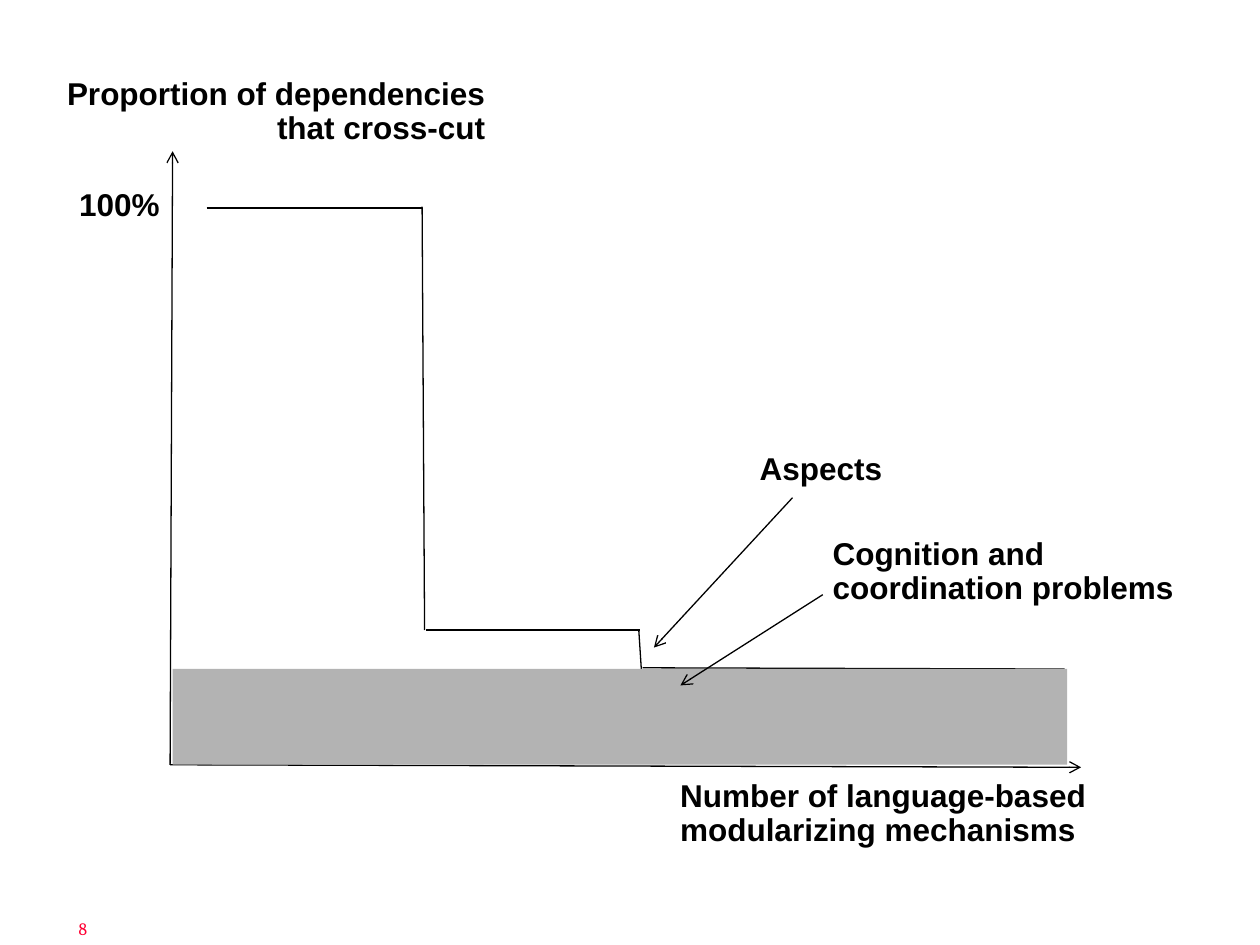
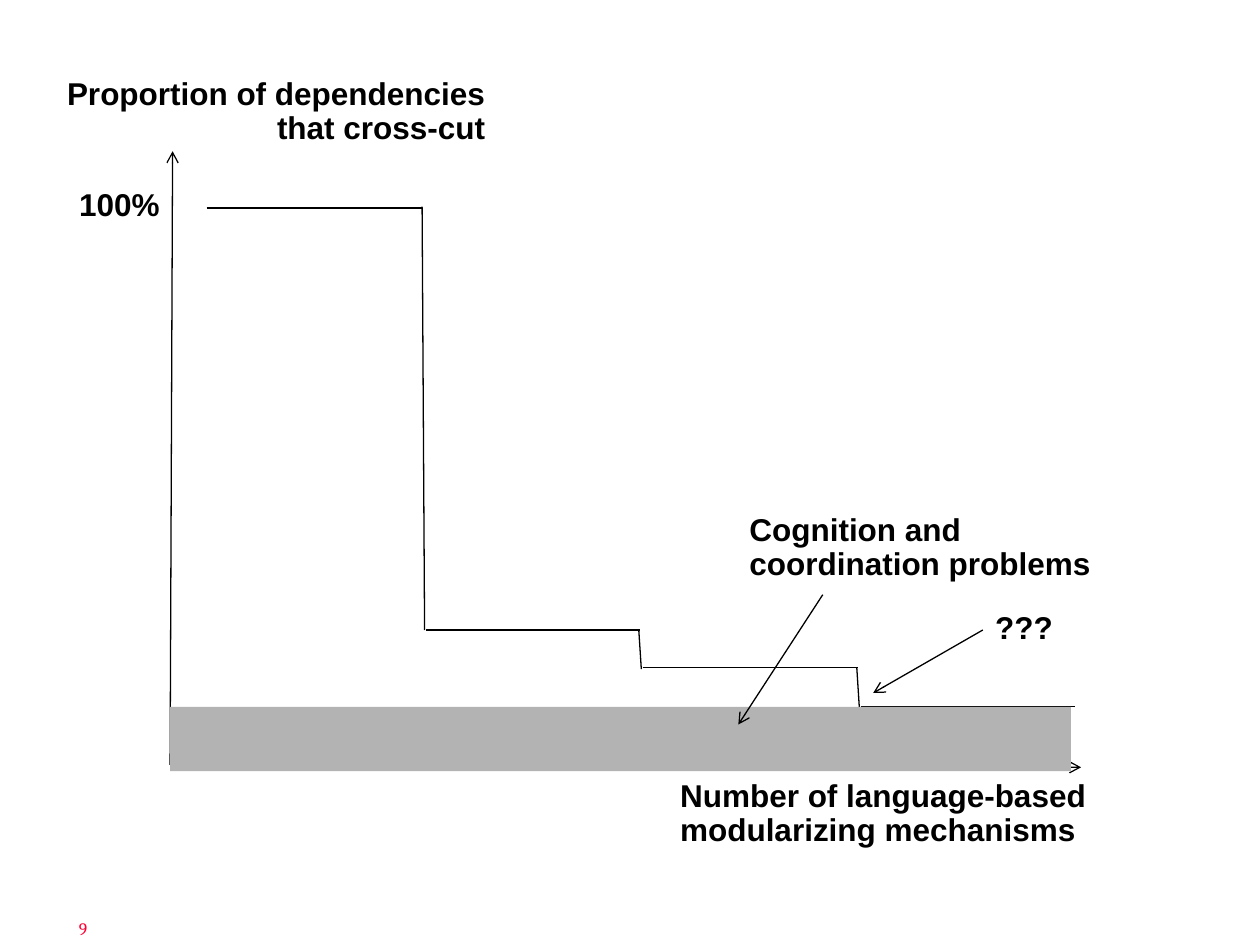
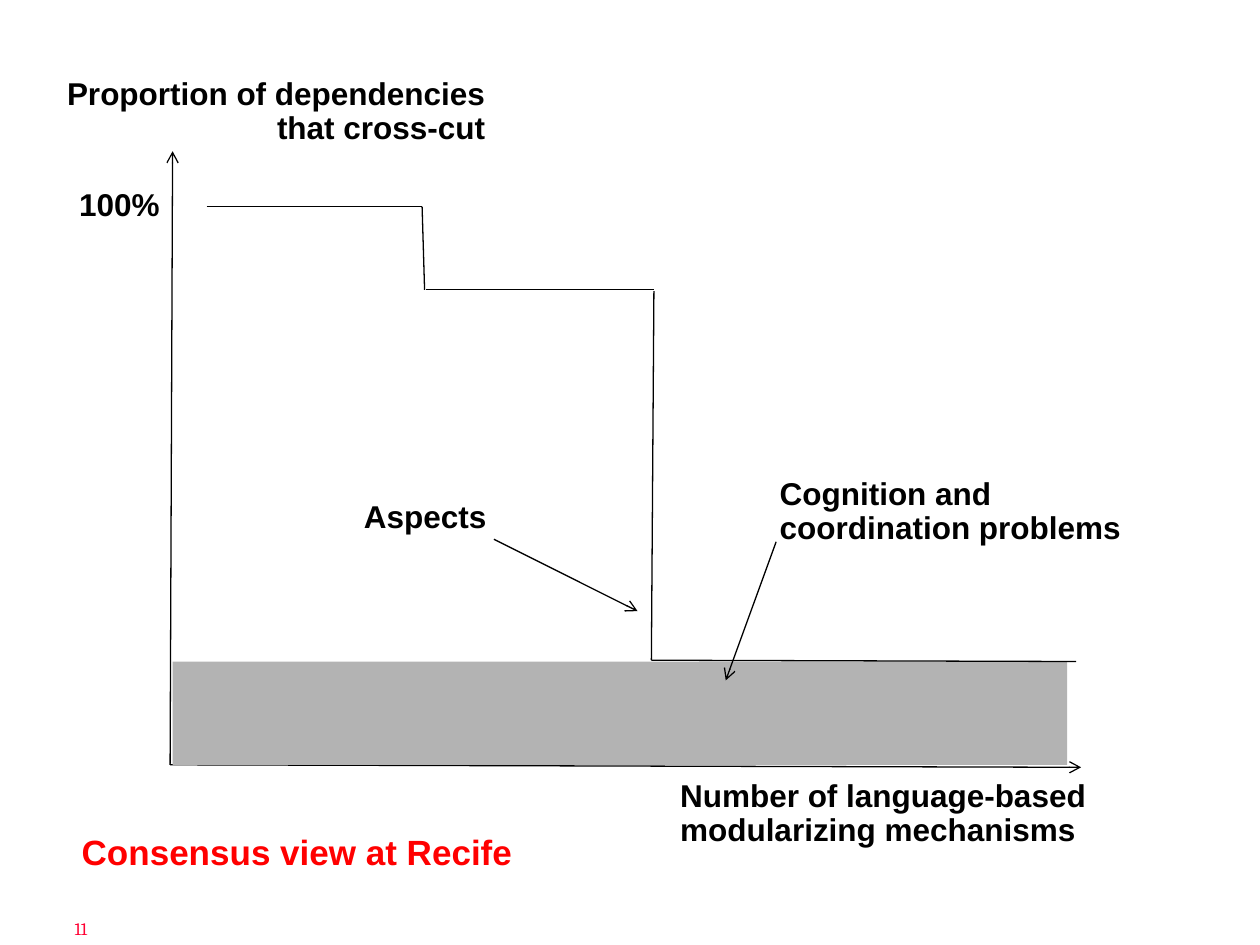
"""Build three step diagrams of cross-cutting dependencies against modularizing mechanisms."""
import pptx
import pptx.dml.color
import pptx.enum.shapes
import pptx.enum.text
import pptx.oxml.ns
import pptx.util
from lxml import etree

EMU_PER_PX = 9144
BLACK = pptx.dml.color.RGBColor(0x00, 0x00, 0x00)
GRAY = pptx.dml.color.RGBColor(0xB3, 0xB3, 0xB3)
RED = pptx.dml.color.RGBColor(0xFF, 0x00, 0x00)
NUMBER_RED = pptx.dml.color.RGBColor(0xFF, 0x00, 0x33)
LEFT = pptx.enum.text.PP_ALIGN.LEFT
RIGHT = pptx.enum.text.PP_ALIGN.RIGHT

ORIGIN = (135, 607)
AXIS_TIPS = [(137, 120), (858, 609)]
COGNITION = "Cognition and\ncoordination problems"
EARLY_STEPS = [
    ((337, 500), (335, 164)),
    ((164, 165), (335, 165)),
    ((338, 500), (508, 500)),
    ((509, 531), (507, 500)),
]
ASPECTS_STEPS = EARLY_STEPS + [((510, 530), (845, 531))]
FUTURE_STEPS = EARLY_STEPS + [
    ((510, 530), (681, 530)),
    ((682, 561), (680, 530)),
    ((683, 561), (853, 561)),
]
CONSENSUS_STEPS = [
    ((337, 230), (335, 164)),
    ((164, 164), (335, 164)),
    ((338, 230), (519, 230)),
    ((519, 231), (517, 524)),
    ((517, 524), (854, 525)),
]


def px(length):
    return pptx.util.Emu(length * EMU_PER_PX)


def add_label(slide, text, left, top, width, height, size=18, color=BLACK,
              align=LEFT, font="Arial", bold=True, spacing=0.9):
    label = slide.shapes.add_textbox(px(left), px(top), px(width), px(height))
    frame = label.text_frame
    frame.text = text
    frame.word_wrap = False
    frame.auto_size = pptx.enum.text.MSO_AUTO_SIZE.SHAPE_TO_FIT_TEXT
    for paragraph in frame.paragraphs:
        paragraph.alignment = align
        paragraph.line_spacing = spacing
        for run in paragraph.runs:
            run.font.name = font
            run.font.size = pptx.util.Pt(size)
            run.font.bold = bold
            run.font.color.rgb = color
    return label


def add_line(slide, start, end, arrow=False):
    line = slide.shapes.add_connector(
        pptx.enum.shapes.MSO_CONNECTOR.STRAIGHT, *map(px, start + end))
    line.line.color.rgb = BLACK
    line.line.width = pptx.util.Pt(0.75)
    if arrow:
        outline = line.line._get_or_add_ln()
        etree.SubElement(outline, pptx.oxml.ns.qn("a:tailEnd"), type="arrow")
    etree.SubElement(line._element.spPr, pptx.oxml.ns.qn("a:effectLst"))
    return line


def add_steps(slide, steps):
    for start, end in steps:
        add_line(slide, start, end)


def add_band(slide, left, top, width, height):
    band = slide.shapes.add_shape(
        pptx.enum.shapes.MSO_SHAPE.RECTANGLE, px(left), px(top), px(width), px(height))
    band.shadow.inherit = False
    band.fill.solid()
    band.fill.fore_color.rgb = GRAY
    band.line.fill.background()


def add_cognition(slide, left, top, start, end):
    add_label(slide, COGNITION, left, top, 294, 65)
    add_line(slide, start, end, arrow=True)


def add_aspects(slide, left, top, start, end):
    add_label(slide, "Aspects", left, top, 118, 38)
    add_line(slide, start, end, arrow=True)


def add_diagram_slide(deck, number):
    slide = deck.slides.add_slide(deck.slide_layouts[6])
    add_label(slide, str(number), 42, 724, 37, 26, size=10, color=NUMBER_RED,
              align=RIGHT, font="Cambria", bold=False, spacing=1.0)
    for tip in AXIS_TIPS:
        add_line(slide, ORIGIN, tip, arrow=True)
    add_label(slide, "Proportion of dependencies \nthat cross-cut", 40, 57, 355, 65, align=RIGHT)
    add_label(slide, "Number of language-based\nmodularizing mechanisms", 530, 614, 346, 65)
    add_label(slide, "100%", 53, 145, 85, 38)
    return slide


def add_aspects_slide(deck):
    slide = add_diagram_slide(deck, 8)
    add_steps(slide, ASPECTS_STEPS)
    add_aspects(slide, 593, 355, (629, 395), (519, 514))
    add_band(slide, 137, 531, 710, 76)
    add_cognition(slide, 651, 422, (653, 472), (540, 544))


def add_future_slide(deck):
    slide = add_diagram_slide(deck, 9)
    unknown = add_label(slide, "???", 780, 481, 66, 38)
    pointer = add_line(slide, (780, 500), (693, 550), arrow=True)
    pointer.begin_connect(unknown, 1)
    add_steps(slide, FUTURE_STEPS)
    add_band(slide, 135, 561, 715, 51)
    add_cognition(slide, 585, 403, (653, 472), (586, 575))


def add_consensus_slide(deck):
    slide = add_diagram_slide(deck, 11)
    add_band(slide, 137, 525, 710, 82)
    add_cognition(slide, 609, 375, (616, 430), (576, 540))
    add_steps(slide, CONSENSUS_STEPS)
    add_aspects(slide, 279, 393, (392, 428), (506, 485))
    add_label(slide, "Consensus view at Recife", 55, 658, 365, 41, size=20, color=RED)


def main():
    deck = pptx.Presentation()
    deck.slide_width, deck.slide_height = px(1000), px(750)
    add_aspects_slide(deck)
    add_future_slide(deck)
    add_consensus_slide(deck)
    deck.save("out.pptx")


if __name__ == "__main__":
    main()
